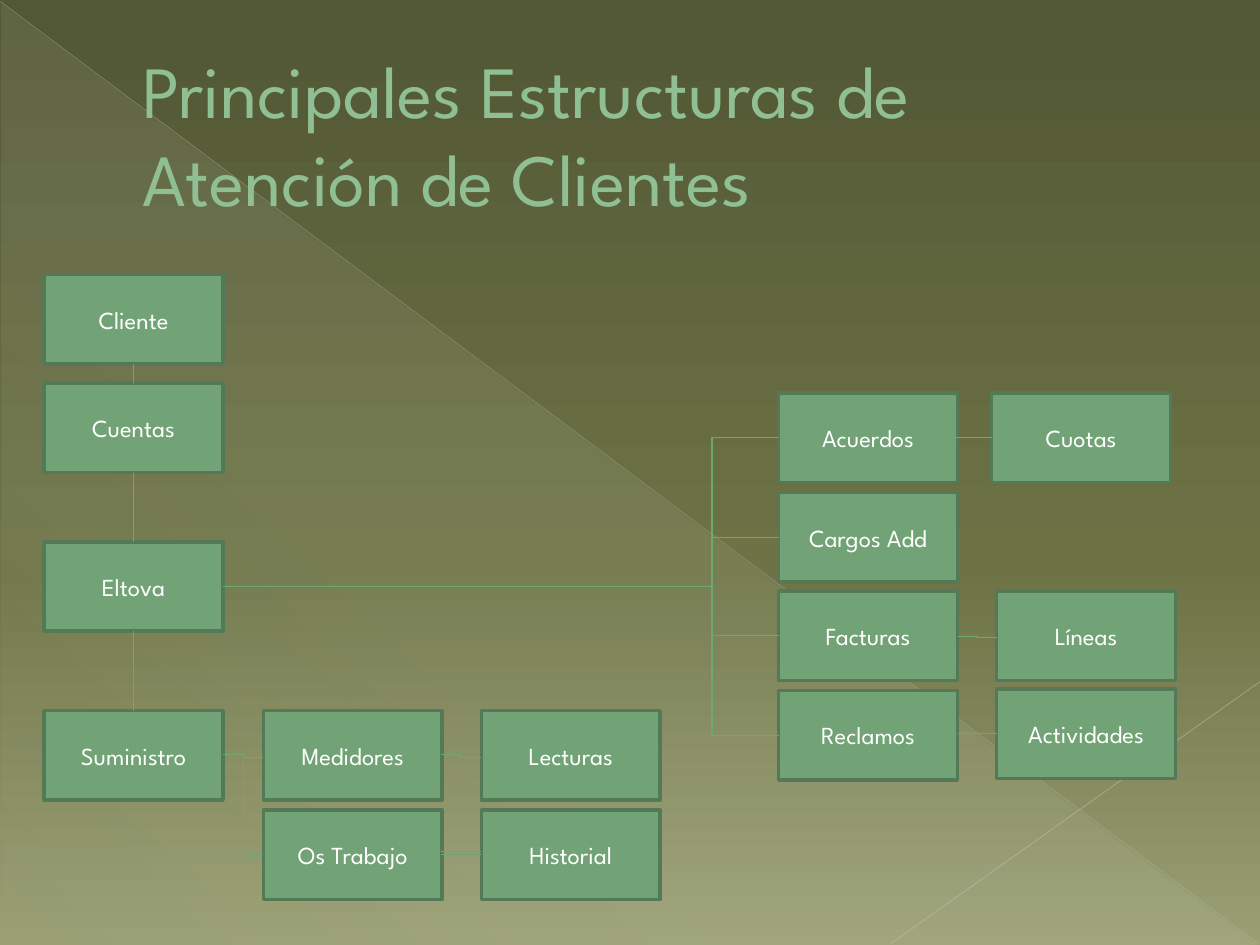
import pptx
import pptx.util
import pptx.oxml
import pptx.oxml.ns
import pptx.dml.color
import pptx.enum.shapes
import pptx.enum.text

Inches, Pt = pptx.util.Inches, pptx.util.Pt
RGB = pptx.dml.color.RGBColor.from_string
qn = pptx.oxml.ns.qn
SHAPE = pptx.enum.shapes.MSO_SHAPE
CONN = pptx.enum.shapes.MSO_CONNECTOR
NS = pptx.oxml.ns.nsdecls("a")

# Content
TITLE = "Principales Estructuras de \vAtención de Clientes"
FONT = "League Spartan"
COLORS = {"title": "8FBF93", "outline": "4F7152", "box": "72A376",
          "border": "547957", "link": "6DA872", "text": "FFFFFF",
          "diagonal": "C1C3B9", "corner": "C8C9C1"}
BACKDROP = [(0, "525734", 100), (60, "6D7345", 100), (100, "999F73", 100)]
GLOW = [(0, "EAEBDE", 10), (70, "EAEBDE", 8), (100, "EAEBDE", 1)]

BOX_W, BOX_H = 1.42, 0.71
COMPANY = "Eltova"
COLUMNS = {  # left edge: (label, top)
    0.35: [("Cliente", 2.18), ("Cuentas", 3.04), (COMPANY, 4.30), ("Suministro", 5.64)],
    2.09: [("Medidores", 5.64), ("Os Trabajo", 6.43)],
    3.82: [("Lecturas", 5.64), ("Historial", 6.43)],
    6.18: [("Acuerdos", 3.12), ("Cargos Add", 3.91), ("Facturas", 4.69), ("Reclamos", 5.48)],
    7.87: [("Cuotas", 3.12)],
    7.91: [("Líneas", 4.69), ("Actividades", 5.47)],
}
STACK = ["Cliente", "Cuentas", COMPANY, "Suministro"]
BRANCHES = ["Reclamos", "Acuerdos", "Cargos Add", "Facturas"]
ELBOWS = [  # x1, y1, x2, y2
    (7.60, 5.05, 7.91, 5.06), (1.77, 5.99, 2.09, 6.01),
    (1.77, 5.99, 2.09, 6.78), (3.50, 5.99, 3.82, 6.01),
]
STRAIGHTS = [
    (3.50, 6.78, 3.82, 6.78), (3.50, 6.76, 3.82, 6.76),
    (7.60, 5.82, 7.91, 5.82), (7.56, 3.47, 7.87, 3.47),
]

prs = pptx.Presentation()
prs.slide_width, prs.slide_height = Inches(10), Inches(7.5)
slide = prs.slides.add_slide(prs.slide_layouts[6])


def set_gradient(parent, stops, angle):
    gs = "".join(
        f'<a:gs pos="{pos * 1000}"><a:srgbClr val="{color}">'
        f'<a:alpha val="{alpha * 1000}"/></a:srgbClr></a:gs>'
        for pos, color, alpha in stops)
    grad = pptx.oxml.parse_xml(
        f'<a:gradFill {NS} rotWithShape="1"><a:gsLst>{gs}</a:gsLst>'
        f'<a:lin ang="{angle * 60000}" scaled="0"/></a:gradFill>')
    parent.replace(parent.find(qn("a:solidFill")), grad)


def add_line(x1, y1, x2, y2, color="link", width=0.75, bend=None, alpha=None):
    kind = CONN.STRAIGHT if bend is None else CONN.ELBOW
    sp = slide.shapes.add_connector(kind, *map(Inches, (x1, y1, x2, y2)))
    sp.line.color.rgb = RGB(COLORS[color])
    sp.line.width = Pt(width)
    props = sp.element.spPr
    props.append(pptx.oxml.parse_xml(f"<a:effectLst {NS}/>"))
    if bend is not None:
        guides = props.find(qn("a:prstGeom")).get_or_add_avLst()
        guides.append(pptx.oxml.parse_xml(
            f'<a:gd {NS} name="adj1" fmla="val {round(bend * 100000)}"/>'))
    if alpha is not None:
        clr = props.find(".//" + qn("a:srgbClr"))
        clr.append(pptx.oxml.parse_xml(f'<a:alpha {NS} val="{alpha * 1000}"/>'))


def add_text(sp, text, size, color, align):
    tf = sp.text_frame
    tf.word_wrap = True
    tf.vertical_anchor = pptx.enum.text.MSO_ANCHOR.MIDDLE
    p = tf.paragraphs[0]
    p.text = text
    p.alignment = align
    for r in p.runs:
        for name, value in {"name": FONT, "size": Pt(size)}.items():
            setattr(r.font, name, value)
        r.font.color.rgb = RGB(COLORS[color])
    return p


# Background and decoration
slide.background.fill.solid()
set_gradient(slide.element.find(".//" + qn("p:bgPr")), BACKDROP, 90)
sp = slide.shapes.add_shape(SHAPE.RIGHT_TRIANGLE, *map(Inches, (0.01, 0.02, 9.98, 7.48)))
sp.shadow.inherit = False
sp.fill.solid()
sp.line.fill.background()
set_gradient(sp.element.spPr, GLOW, 133)
add_line(0, 0.01, 9.99, 7.49, "diagonal", 0.39, alpha=35)
add_line(10, 5.41, 7.07, 7.49, "corner", 0.47, alpha=45)

# Title
sp = slide.shapes.add_textbox(*map(Inches, (0.5, 0.29, 9, 1.53)))
p = add_text(sp, TITLE, 42, "title", pptx.enum.text.PP_ALIGN.LEFT)
p._p.get_or_add_pPr().set("marL", str(Inches(0.53)))
for r in p.runs:
    r._r.get_or_add_rPr().insert(0, pptx.oxml.parse_xml(
        f'<a:ln {NS} w="{Pt(0.5)}"><a:solidFill>'
        f'<a:srgbClr val="{COLORS["outline"]}"/></a:solidFill></a:ln>'))

# Boxes
spots = {}
for left, boxes in COLUMNS.items():
    for label, top in boxes:
        spots[label] = (left, top)
        sp = slide.shapes.add_shape(
            SHAPE.RECTANGLE, *map(Inches, (left, top, BOX_W, BOX_H)))
        sp.shadow.inherit = False
        sp.fill.solid()
        sp.fill.fore_color.rgb = RGB(COLORS["box"])
        sp.line.color.rgb = RGB(COLORS["border"])
        sp.line.width = Pt(2)
        add_text(sp, label, 14, "text", pptx.enum.text.PP_ALIGN.CENTER)

# Links down the first column
for upper, lower in zip(STACK, STACK[1:]):
    left, top = spots[upper]
    x = left + BOX_W / 2
    add_line(x, top + BOX_H, x, spots[lower][1])

# Links from the company to its branches
left, top = spots[COMPANY]
for label in BRANCHES:
    x, y = spots[label]
    add_line(left + BOX_W, top + BOX_H / 2, x, y + BOX_H / 2, bend=0.88)

# Short links between neighbours
for ends in ELBOWS:
    add_line(*ends, bend=0.5)
for ends in STRAIGHTS:
    add_line(*ends)

prs.save("out.pptx")
